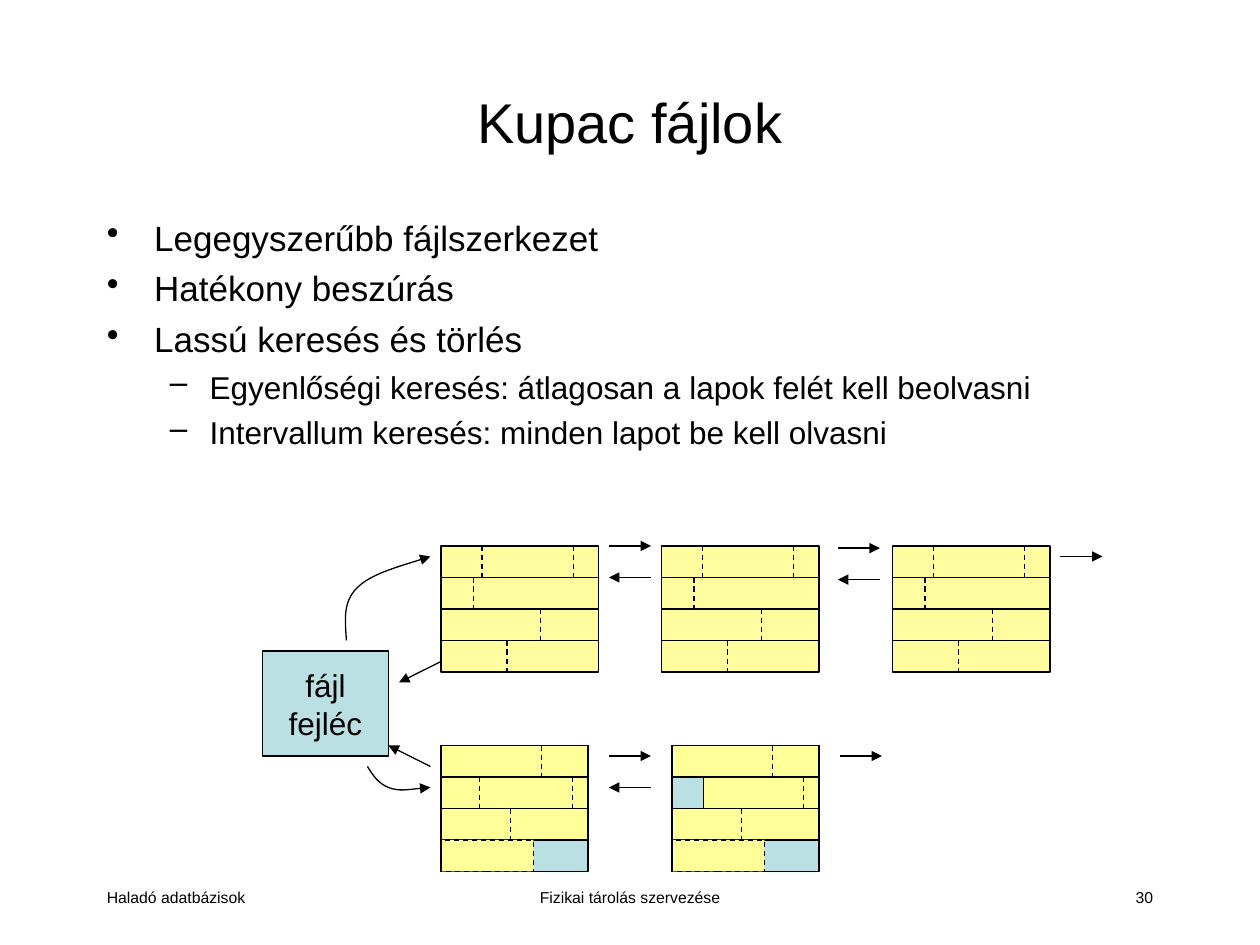
import pptx
import pptx.dml.color
import pptx.enum.dml
import pptx.enum.shapes
import pptx.enum.text
import pptx.oxml.ns
import pptx.util
from lxml import etree

PX = 7620  # EMU: 120 px to the inch
BLACK = pptx.dml.color.RGBColor(0x00, 0x00, 0x00)
BLUE = pptx.dml.color.RGBColor(0xBB, 0xE0, 0xE3)
YELLOW = pptx.dml.color.RGBColor(0xFF, 0xFF, 0x99)
PALE_YELLOW = pptx.dml.color.RGBColor(0xFF, 0xFD, 0xA0)
ALIGN = pptx.enum.text.PP_ALIGN
MIDDLE = pptx.enum.text.MSO_ANCHOR.MIDDLE
ROW = 30
PAGE_HEIGHT = 4 * ROW

BULLETS = [
    ("Legegyszerűbb fájlszerkezet", 0),
    ("Hatékony beszúrás", 0),
    ("Lassú keresés és törlés", 0),
    ("Egyenlőségi keresés: átlagosan a lapok felét kell beolvasni", 1),
    ("Intervallum keresés: minden lapot be kell olvasni", 1),
]
# bullet character, size, space before, left margin, hanging indent
LEVELS = [("•", 20, 5, 45, 45), ("–", 18, 4.5, 98, 38)]

# Record boundaries as (row, offset from the page's left edge)
FULL_RECORDS = [(0, 39), (0, 126), (1, 31), (2, 95), (3, 63)]
FREE_RECORDS = [(0, 96), (1, 125), (2, 66)]

ARROWS = [
    (580, 520, 620, 520), (620, 550, 580, 550),
    (798, 522, 838, 522), (838, 552, 798, 552),
    (1010, 530, 1050, 530),
    (580, 720, 620, 720), (620, 750, 580, 750),
    (800, 720, 840, 720), (410, 730, 370, 710),
]
# Start point, then two control points and an end point per segment
CURVES = [
    [(330, 610), (329, 592), (326, 574), (340, 560),
     (353, 547), (382, 539), (410, 530)],
    [(420, 630), (420, 630), (400, 640), (380, 650)],
    [(350, 730), (355, 738), (360, 746), (370, 750),
     (380, 754), (395, 751), (410, 750)],
]


def px(*lengths):
    return [pptx.util.Emu(length * PX) for length in lengths]


def child(parent, tag, **attributes):
    return etree.SubElement(parent, pptx.oxml.ns.qn(tag), **attributes)


def add_run(paragraph, text, size):
    run = paragraph.add_run()
    run.text = text
    run.font.name = "Arial"
    run.font.size = pptx.util.Pt(size)
    run.font.color.rgb = BLACK


def add_text_frame(slide, x, y, w, h):
    frame = slide.shapes.add_textbox(*px(x, y, w, h)).text_frame
    frame.word_wrap = True
    return frame


def add_label(slide, text, box, size, align, anchor=None):
    frame = add_text_frame(slide, *box)
    frame.vertical_anchor = anchor
    frame.paragraphs[0].alignment = align
    add_run(frame.paragraphs[0], text, size)


def add_bullets(slide):
    frame = add_text_frame(slide, 90, 200, 1020, 620)
    for index, (text, level) in enumerate(BULLETS):
        mark, size, space, margin, hanging = LEVELS[level]
        paragraph = frame.add_paragraph() if index else frame.paragraphs[0]
        paragraph.level = level
        paragraph.space_before = pptx.util.Pt(space)
        properties = paragraph.font._element.getparent()
        properties.set("marL", str(margin * PX))
        properties.set("indent", str(-hanging * PX))
        defaults = properties.find(pptx.oxml.ns.qn("a:defRPr"))
        properties.remove(defaults)
        child(properties, "a:buChar", char=mark)
        add_run(paragraph, text, size)


def style_line(line, dashed=False):
    line.color.rgb = BLACK
    line.width = pptx.util.Pt(0.75)
    if dashed:
        line.dash_style = pptx.enum.dml.MSO_LINE.DASH


def add_arrowhead(line):
    child(line._get_or_add_ln(), "a:tailEnd", type="triangle")


def add_box(slide, x, y, w, h, fill, dashed=False):
    box = slide.shapes.add_shape(
        pptx.enum.shapes.MSO_SHAPE.RECTANGLE, *px(x, y, w, h))
    box.shadow.inherit = False
    box.fill.solid()
    box.fill.fore_color.rgb = fill
    style_line(box.line, dashed)
    return box


def add_line(slide, x1, y1, x2, y2, dashed=False, arrow=False):
    line = slide.shapes.add_connector(
        pptx.enum.shapes.MSO_CONNECTOR.STRAIGHT, *px(x1, y1, x2, y2))
    style_line(line.line, dashed)
    if arrow:
        add_arrowhead(line.line)
    child(line._element.spPr, "a:effectLst")


def add_curved_arrow(slide, points):
    """Draw Bézier segments, turning each three line points into one curve."""
    builder = slide.shapes.build_freeform(*points[0], scale=PX)
    builder.add_line_segments(points[1:], close=False)
    curve = builder.convert_to_shape()
    curve.shadow.inherit = False
    curve.fill.background()
    style_line(curve.line)
    add_arrowhead(curve.line)
    outline = next(curve._element.iter(pptx.oxml.ns.qn("a:path")))
    outline.set("fill", "none")
    steps = outline.findall(pptx.oxml.ns.qn("a:lnTo"))
    for first in range(0, len(steps), 3):
        bezier = child(outline, "a:cubicBezTo")
        for step in steps[first:first + 3]:
            bezier.append(step[0])
            outline.remove(step)


def add_record_boundaries(slide, x, y, boundaries):
    for row, offset in boundaries:
        top = y + row * ROW
        add_line(slide, x + offset, top, x + offset, top + ROW, dashed=True)


def add_full_page(slide, x, y):
    width = 150
    add_box(slide, x, y, width, PAGE_HEIGHT, PALE_YELLOW)
    for row in range(1, 4):
        add_line(slide, x, y + row * ROW, x + width, y + row * ROW)
    add_record_boundaries(slide, x, y, FULL_RECORDS)


def add_page_with_space(slide, x, y, free_start, extra_boundaries):
    """Blue parts are free: the start of row 1 and the end of row 3."""
    width = 140
    add_box(slide, x, y, width, PAGE_HEIGHT, BLUE)
    for row, start in enumerate([0, free_start, 0]):
        add_box(slide, x + start, y + row * ROW, width - start, ROW, YELLOW)
    add_box(slide, x, y + 3 * ROW, 88, ROW, YELLOW, dashed=True)
    add_line(slide, x, y + 3 * ROW, x, y + PAGE_HEIGHT)
    add_record_boundaries(slide, x, y, FREE_RECORDS + extra_boundaries)


def add_file_header(slide):
    header = add_box(slide, 250, 620, 120, 100, BLUE)
    frame = header.text_frame
    frame.word_wrap = False
    frame.vertical_anchor = MIDDLE
    paragraph = frame.paragraphs[0]
    paragraph.alignment = ALIGN.CENTER
    add_run(paragraph, "fájl", 18)
    paragraph.add_line_break()
    add_run(paragraph, "fejléc", 18)


def main():
    deck = pptx.Presentation()
    deck.slide_width, deck.slide_height = px(1200, 900)
    slide = deck.slides.add_slide(deck.slide_layouts[6])

    add_label(slide, "Haladó adatbázisok", (90, 840, 250, 40), 9, ALIGN.LEFT)
    add_label(slide, "Fizikai tárolás szervezése", (410, 840, 380, 40), 9,
              ALIGN.CENTER)
    add_label(slide, "30", (860, 840, 250, 40), 9, ALIGN.RIGHT)
    add_label(slide, "Kupac fájlok", (90, 40, 1020, 150), 32, ALIGN.CENTER,
              MIDDLE)
    add_bullets(slide)

    add_file_header(slide)
    for x in (420, 630, 850):
        add_full_page(slide, x, 520)
    add_page_with_space(slide, 420, 710, 0, [(1, 37)])
    add_page_with_space(slide, 640, 710, 30, [])
    for ends in ARROWS:
        add_line(slide, *ends, arrow=True)
    for points in CURVES:
        add_curved_arrow(slide, points)

    deck.save("out.pptx")


if __name__ == "__main__":
    main()
